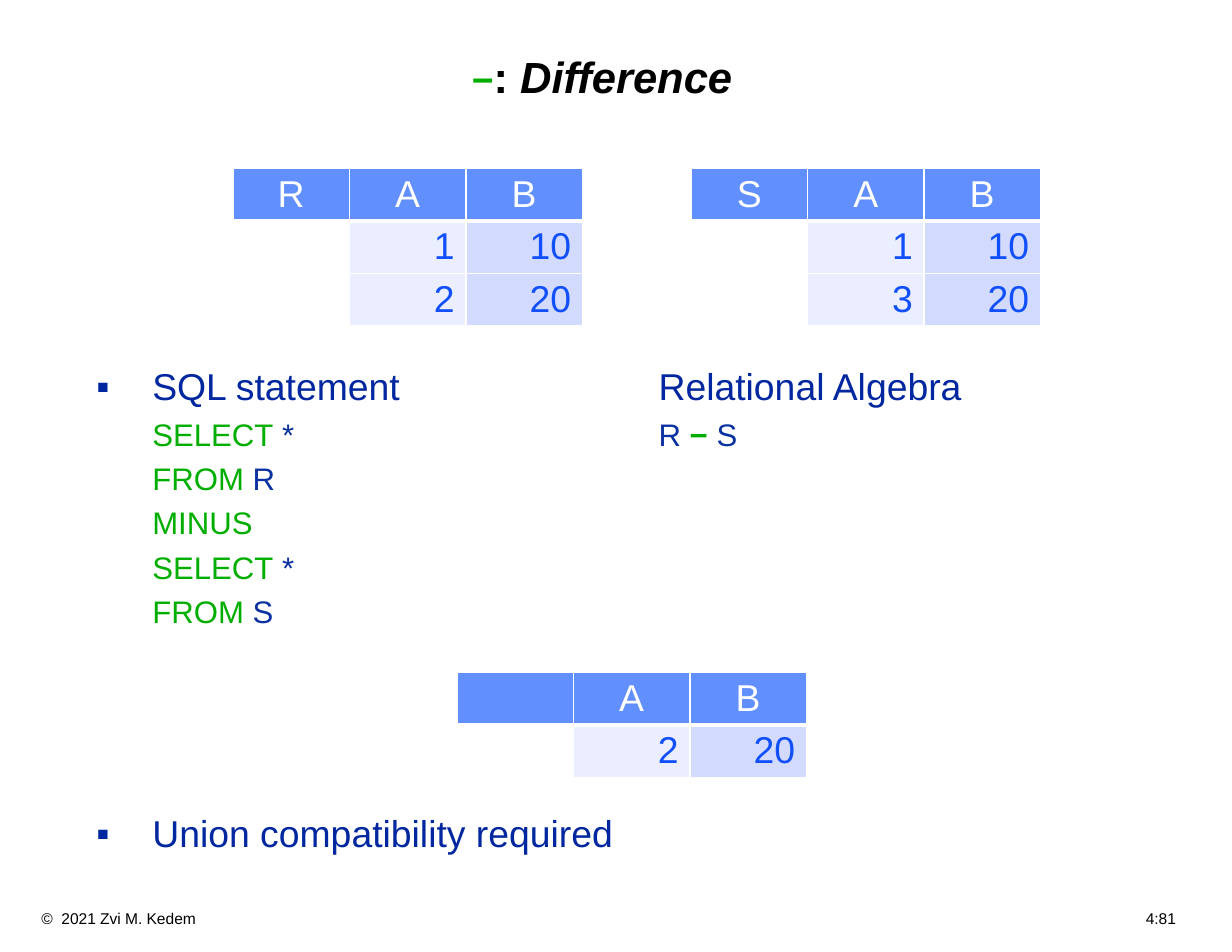
from dataclasses import dataclass

from lxml import etree
from pptx import Presentation
from pptx.dml.color import RGBColor
from pptx.enum.text import MSO_ANCHOR, MSO_AUTO_SIZE, PP_ALIGN
from pptx.oxml.ns import qn
from pptx.util import Inches, Pt

CENTER, RIGHT = PP_ALIGN.CENTER, PP_ALIGN.RIGHT
MIDDLE, TOP = MSO_ANCHOR.MIDDLE, MSO_ANCHOR.TOP
NO_AUTOFIT = MSO_AUTO_SIZE.NONE
TWO_CONTENT_LAYOUT = 3


@dataclass(frozen=True)
class Theme:
    font: str = "Arial"
    black: str = "000000"
    white: str = "FFFFFF"
    keyword: str = "00AE00"
    heading: str = "00279F"
    relation: str = "0A31A1"
    header_fill: str = "618FFD"
    column_fills: tuple = ("FFFFFF", "EAEEFF", "D2DBFE")
    value: str = "114FFB"
    title_size: int = 28
    heading_size: int = 24
    code_size: int = 20
    footer_size: int = 10
    line_spacing: float = 0.9


THEME = Theme()
COLUMN_WIDTH, ROW_HEIGHT = 1.04, 0.47


def add_element(parent, tag, **attributes):
    return etree.SubElement(parent, qn(tag), attributes)


def write_runs(paragraph, runs, size):
    """Write (text, colour, optional font settings) runs in the slide font."""
    for text, color, *settings in runs:
        run = paragraph.add_run()
        run.text = text
        run.font.color.rgb = RGBColor.from_string(color)
        run.font.bold = False
        for font in (paragraph.font, run.font):
            font.name, font.size = THEME.font, Pt(size)
        for name, value in (settings[0] if settings else {}).items():
            setattr(run.font, name, value)


def place_text(shape, left, top, width, height, anchor=TOP):
    shape.left, shape.top = Inches(left), Inches(top)
    shape.width, shape.height = Inches(width), Inches(height)
    frame = shape.text_frame
    frame.word_wrap, frame.auto_size = True, NO_AUTOFIT
    frame.vertical_anchor = anchor
    frame.margin_left = frame.margin_right = Inches(0.11)
    frame.margin_top = frame.margin_bottom = Inches(0.06)
    return frame


def write_line(frame, runs, size, margin=0.0, bullet=False, level=0, before=6.9):
    """Add one list line, bulleted with a hanging indent or plain."""
    first = not frame.paragraphs[0].runs
    paragraph = frame.paragraphs[0] if first else frame.add_paragraph()
    paragraph.level = level
    paragraph.alignment = PP_ALIGN.LEFT
    paragraph.line_spacing = THEME.line_spacing
    paragraph.space_before = Pt(0 if first else before)
    properties = paragraph._p.get_or_add_pPr()
    properties.set("marL", str(Inches(margin)))
    properties.set("indent", str(-Inches(margin) if bullet else 0))
    if bullet:
        color = add_element(properties, "a:buClr")
        add_element(color, "a:srgbClr", val=THEME.heading)
        add_element(properties, "a:buFont", typeface=THEME.font)
        add_element(properties, "a:buChar", char="▪")
    else:
        add_element(properties, "a:buNone")
    write_runs(paragraph, runs, size)


def set_borders(cell, bottom_width):
    properties = cell._tc.get_or_add_tcPr()
    widths = {"a:lnL": 1, "a:lnR": 1, "a:lnT": 1, "a:lnB": bottom_width}
    for position, (tag, width) in enumerate(widths.items()):
        line = etree.Element(qn(tag), w=str(Pt(width)))
        fill = add_element(line, "a:solidFill")
        add_element(fill, "a:srgbClr", val=THEME.white)
        properties.insert(position, line)


def add_relation(slide, left, top, rows):
    """Draw a relation: a header row, then right-aligned values."""
    columns = len(rows[0])
    table = slide.shapes.add_table(
        len(rows), columns, Inches(left), Inches(top),
        Inches(COLUMN_WIDTH * columns), Inches(ROW_HEIGHT * len(rows))).table
    for column in table.columns:
        column.width = Inches(COLUMN_WIDTH)
    for row_index, values in enumerate(rows):
        table.rows[row_index].height = Inches(ROW_HEIGHT)
        header = row_index == 0
        for column_index, value in enumerate(values):
            cell = table.cell(row_index, column_index)
            cell.margin_top = cell.margin_bottom = Inches(0.04)
            cell.vertical_anchor = MIDDLE
            fill = THEME.header_fill if header else THEME.column_fills[column_index]
            cell.fill.solid()
            cell.fill.fore_color.rgb = RGBColor.from_string(fill)
            set_borders(cell, 3 if header else 1)
            paragraph = cell.text_frame.paragraphs[0]
            paragraph.alignment = CENTER if header else RIGHT
            if value:
                color = THEME.white if header else THEME.value
                write_runs(paragraph, [(value, color)], THEME.heading_size)


def add_title(slide):
    frame = place_text(slide.shapes.title, 0.75, 0.25, 9.25, 0.92, MIDDLE)
    paragraph = frame.paragraphs[0]
    paragraph.alignment = CENTER
    paragraph.line_spacing = THEME.line_spacing
    write_runs(paragraph, [
        ("−", THEME.keyword, {"bold": True, "size": Pt(THEME.heading_size)}),
        (": ", THEME.black, {"bold": True}),
        ("Difference", THEME.black, {"bold": True, "italic": True}),
    ], THEME.title_size)


def add_sql_list(placeholder):
    frame = place_text(placeholder, 0.75, 3.23, 4.9, 4.77)
    write_line(frame, [("SQL statement", THEME.heading)],
               THEME.heading_size, 0.5, bullet=True)
    statement = [("SELECT", " *"), ("FROM", " R"), ("MINUS", ""),
                 ("SELECT", " *"), ("FROM", " S")]
    for keyword, operand in statement:
        runs = [(keyword, THEME.keyword)]
        if operand:
            runs.append((operand, THEME.relation))
        write_line(frame, runs, THEME.code_size, 0.5, level=1)
    # The gap leaves room for the result relation
    write_line(frame, [("Union compatibility required", THEME.heading)],
               THEME.heading_size, 0.5, bullet=True, before=119)


def add_algebra_list(placeholder):
    frame = place_text(placeholder, 5.77, 3.23, 4.31, 1)
    write_line(frame, [("Relational Algebra", THEME.heading)], THEME.heading_size)
    write_line(frame, [("R ", THEME.relation),
                       ("− ", THEME.keyword, {"bold": True}),
                       ("S", THEME.relation)], THEME.code_size, level=1)


def add_footer(slide):
    box = slide.shapes.add_textbox(0, 0, 0, 0)
    frame = place_text(box, 0, 8.06, 11, 0.27)
    frame.margin_left = Inches(0.37)
    paragraph = frame.paragraphs[0]
    tabs = add_element(paragraph._p.get_or_add_pPr(), "a:tabLst")
    add_element(tabs, "a:tab", pos=str(Inches(10.13)), algn="r")
    write_runs(paragraph, [("©  2021 Zvi M. Kedem\t4:81", THEME.black)],
               THEME.footer_size)


def main():
    presentation = Presentation()
    presentation.slide_width, presentation.slide_height = Inches(11), Inches(8.5)
    slide = presentation.slides.add_slide(
        presentation.slide_layouts[TWO_CONTENT_LAYOUT])

    # Title, lists and footer
    add_footer(slide)
    add_title(slide)
    add_sql_list(slide.placeholders[1])
    add_algebra_list(slide.placeholders[2])

    # Operands and result
    add_relation(slide, 2.08, 1.5, [("R", "A", "B"), ("", "1", "10"), ("", "2", "20")])
    add_relation(slide, 6.17, 1.5, [("S", "A", "B"), ("", "1", "10"), ("", "3", "20")])
    add_relation(slide, 4.08, 6, [("", "A", "B"), ("", "2", "20")])

    presentation.save("out.pptx")


if __name__ == "__main__":
    main()
